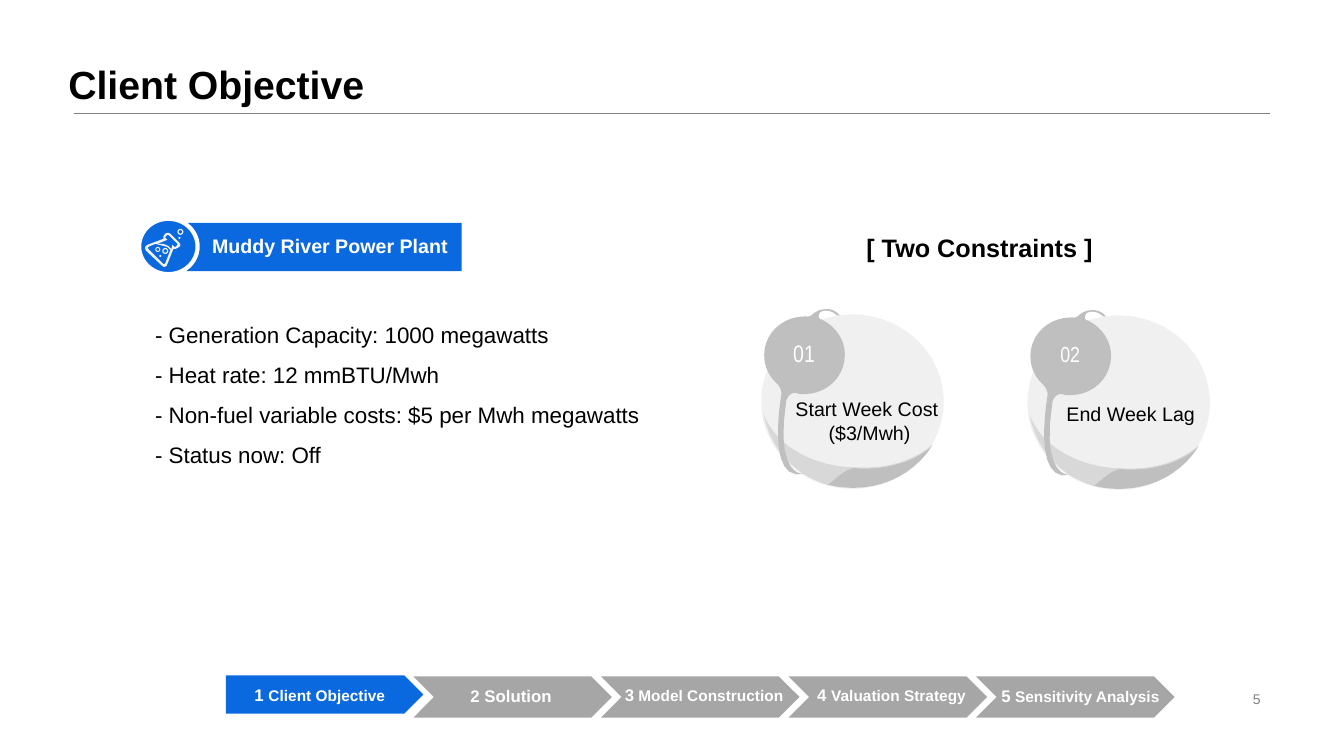
from lxml.etree import SubElement
from pptx import Presentation
from pptx.dml.color import RGBColor
from pptx.enum.shapes import MSO_CONNECTOR, MSO_SHAPE
from pptx.enum.text import MSO_ANCHOR, PP_ALIGN
from pptx.oxml.ns import qn
from pptx.util import Inches, Pt

COLORS = {
    "black": "000000", "white": "FFFFFF", "blue": "0B69DF", "rule": "808080",
    "icon": "F0F0F0", "disc": "F0F0F0", "band": "D8D8D8", "stem": "BFBFBF",
    "step": "A6A6A6",
}
LEFT, CENTER, RIGHT = PP_ALIGN.LEFT, PP_ALIGN.CENTER, PP_ALIGN.RIGHT
TOP, MIDDLE, BOTTOM = MSO_ANCHOR.TOP, MSO_ANCHOR.MIDDLE, MSO_ANCHOR.BOTTOM

deck = Presentation()
deck.slide_width, deck.slide_height = Inches(13.33), Inches(7.5)
page = deck.slides.add_slide(deck.slide_layouts[6])


def add_block(kind, place, fill=None, paragraphs=(), align=LEFT, anchor=BOTTOM,
              spacing=None, font="Arial", bold=False, color="black", inset=0.1):
    """Add a preset shape, or a text box when kind is None.

    Each paragraph is a list of (text, size) runs."""
    position = [Inches(length) for length in place]
    if kind is None:
        box = page.shapes.add_textbox(*position)
    else:
        box = page.shapes.add_shape(kind, *position)
        box.shadow.inherit = False
        box.line.fill.background()
        if fill:
            box.fill.solid()
            box.fill.fore_color.rgb = RGBColor.from_string(COLORS[fill])
        else:
            box.fill.background()
    frame = box.text_frame
    frame.word_wrap = True
    frame.vertical_anchor = anchor
    frame.margin_left = frame.margin_right = Inches(inset)
    frame.margin_top = frame.margin_bottom = Inches(inset / 2)
    for index, runs in enumerate(paragraphs):
        para = frame.add_paragraph() if index else frame.paragraphs[0]
        para.alignment = align
        if spacing:
            para.line_spacing = spacing
        for text, size in runs:
            span = para.add_run()
            span.text = text
            span.font.name, span.font.size, span.font.bold = font, Pt(size), bold
            span.font.color.rgb = RGBColor.from_string(COLORS[color])
    return box


def add_outline(contours, fill, shift=(0, 0)):
    """Fill closed contours; a step of six numbers is a cubic curve, of two a corner."""
    builder = None
    for start, *steps in contours:
        points = [start]
        for step in steps:
            if len(step) == 2:
                points.append(step)
                continue
            knots = [points[-1], step[0:2], step[2:4], step[4:6]]
            for t in [part / 10 for part in range(1, 11)]:
                weights = [(1 - t) ** 3, 3 * t * (1 - t) ** 2, 3 * t * t * (1 - t), t ** 3]
                points.append([sum(w * knot[axis] for w, knot in zip(weights, knots))
                               for axis in (0, 1)])
        points = [(Inches(x + shift[0]), Inches(y + shift[1])) for x, y in points]
        if builder is None:
            builder = page.shapes.build_freeform(*points[0], scale=1.0)
        else:
            builder.move_to(*points[0])
        builder.add_line_segments(points[1:], close=True)
    outline = builder.convert_to_shape()
    outline.shadow.inherit = False
    outline.line.fill.background()
    outline.fill.solid()
    outline.fill.fore_color.rgb = RGBColor.from_string(COLORS[fill])


# Title, rule and page number
rule = page.shapes.add_connector(MSO_CONNECTOR.STRAIGHT, Inches(0.73), Inches(1.12),
                                 Inches(12.6), Inches(1.12))
rule.line.color.rgb = RGBColor.from_string(COLORS["rule"])
rule.line.width = Pt(0.25)
SubElement(rule._element.spPr, qn("a:effectLst"))
add_block(None, (0.58, 0, 11.87, 1.12), paragraphs=[[("Client Objective", 28)]],
          spacing=0.9, bold=True)
add_block(None, (9.42, 6.82, 3.18, 0.23), paragraphs=[[("5", 10)]],
          align=RIGHT, anchor=MIDDLE, color="rule")

# Plant banner with a flask icon
add_block(MSO_SHAPE.RECTANGLE, (1.85, 2.21, 2.73, 0.48), "blue")
badge = add_block(MSO_SHAPE.OVAL, (1.38, 2.17, 0.58, 0.55), "blue")
badge.line.color.rgb = RGBColor.from_string(COLORS["white"])
badge.line.width = Pt(3)
for left, top, size in [(1.61, 2.46, 0.06), (1.76, 2.27, 0.06), (1.54, 2.45, 0.05)]:
    bubble = add_block(MSO_SHAPE.DONUT, (left, top, size, size), "icon")
    bubble.adjustments[0] = 0.2
for left, top in [(1.58, 2.53), (1.77, 2.35)]:
    add_block(MSO_SHAPE.OVAL, (left, top, 0.02, 0.02), "icon")
flask_edge = [
    (1.69, 2.32), (1.67, 2.31), (1.65, 2.31), (1.63, 2.33), (1.62, 2.35), (1.62, 2.37),
    (1.46, 2.43), (1.44, 2.45), (1.44, 2.47), (1.45, 2.49), (1.6, 2.63), (1.61, 2.64),
    (1.63, 2.65), (1.65, 2.64), (1.66, 2.62), (1.72, 2.47), (1.74, 2.47), (1.76, 2.46),
    (1.78, 2.45), (1.79, 2.43), (1.78, 2.41)]
flask_liquid = [
    (1.64, 2.61), (1.63, 2.62), (1.62, 2.62), (1.47, 2.47), (1.47, 2.45), (1.54, 2.42),
    (1.58, 2.43), (1.62, 2.44), (1.66, 2.45), (1.69, 2.48)]
flask_neck = [
    (1.76, 2.43), (1.74, 2.45), (1.73, 2.45), (1.71, 2.43), (1.7, 2.47), (1.67, 2.44),
    (1.62, 2.42), (1.56, 2.42), (1.66, 2.38), (1.64, 2.36), (1.64, 2.35), (1.66, 2.33),
    (1.67, 2.33), (1.76, 2.42)]
add_outline([flask_edge, flask_liquid, flask_neck], "icon")
add_block(MSO_SHAPE.ROUNDED_RECTANGLE, (1.99, 2.31, 2.66, 0.31),
          paragraphs=[[("Muddy River Power Plant", 14)]], bold=True, color="white")

plant_facts = [
    "- Generation Capacity: 1000 megawatts",
    "- Heat rate: 12 mmBTU/Mwh",
    "- Non-fuel variable costs: $5 per Mwh megawatts",
    "- Status now: Off",
]
add_block(None, (1.44, 3, 6.67, 2.47), paragraphs=[[(fact, 16)] for fact in plant_facts],
          anchor=TOP, spacing=1.5)

# Two constraints
shade = [(8.47, 4.84), (8.79, 4.84, 9.08, 4.68, 9.24, 4.43),
         (9.22, 4.44, 8.98, 4.68, 8.47, 4.64), (8.21, 4.62, 8.12, 4.69, 8.09, 4.76),
         (8.2, 4.82, 8.33, 4.84, 8.47, 4.84)]
band = [(9.25, 4.41), (9.06, 4.57, 8.81, 4.65, 8.5, 4.64),
        (8.09, 4.63, 7.86, 4.47, 7.73, 4.35), (7.64, 4.25, 7.59, 4.16, 7.57, 4.1),
        (7.63, 4.44, 7.88, 4.72, 8.21, 4.81), (8.3, 4.74, 8.39, 4.64, 8.5, 4.64),
        (8.52, 4.65, 8.54, 4.65, 8.56, 4.65), (8.84, 4.65, 9.07, 4.57, 9.24, 4.43)]
stem = [(8.15, 3.17), (8.13, 3.17, 8.12, 3.15, 8.12, 3.14),
        (8.12, 3.12, 8.13, 3.1, 8.15, 3.09), (8.24, 3.06, 8.3, 3.13, 8.3, 3.13),
        (8.33, 3.13), (8.28, 3.07, 8.22, 3.06, 8.17, 3.07),
        (8.13, 3.07, 8.1, 3.09, 8.07, 3.11), (8.03, 3.15, 8, 3.14, 8, 3.14),
        (7.98, 3.14), (7.76, 3.14, 7.58, 3.31, 7.58, 3.52),
        (7.58, 3.63, 7.62, 3.72, 7.69, 3.79), (7.76, 3.85, 7.75, 3.91, 7.75, 3.91),
        (7.7, 4.23, 7.66, 4.78, 7.98, 4.7), (7.97, 4.7),
        (7.97, 4.7, 7.68, 4.74, 7.8, 3.97), (7.81, 3.95, 7.83, 3.89, 7.9, 3.9),
        (7.93, 3.91), (7.98, 3.91), (8.2, 3.91, 8.38, 3.74, 8.38, 3.52),
        (8.38, 3.37, 8.29, 3.24, 8.15, 3.17)]
constraints = [
    ((0, 0), "01", 17, (6.95, 3.24), ["Start Week Cost ", "($3/Mwh)"]),
    ((2.64, 0.01), "02", 15.5, (9.54, 3.05), ["End Week Lag"]),
]
for shift, number, number_size, label_corner, label_lines in constraints:
    right, down = shift
    add_block(MSO_SHAPE.OVAL, (7.55 + right, 3.12 + down, 1.81, 1.73), "disc")
    for contour, fill in [(shade, "stem"), (band, "band"), (stem, "stem")]:
        add_outline([contour], fill, shift)
    add_block(MSO_SHAPE.OVAL, (7.67 + right, 3.21 + down, 0.61, 0.58),
              paragraphs=[[(number, number_size)]], align=CENTER, anchor=MIDDLE,
              font="Arial Narrow", color="white", inset=0)
    add_block(MSO_SHAPE.ROUNDED_RECTANGLE, (*label_corner, 3.35, 1.28),
              paragraphs=[[(line, 14)] for line in label_lines], align=CENTER)
add_block(MSO_SHAPE.ROUNDED_RECTANGLE, (8.48, 2.36, 2.66, 0.31),
          paragraphs=[[("[ Two Constraints ]", 18)]], bold=True)

# Progress bar
for index in range(4):
    add_block(MSO_SHAPE.CHEVRON, (4.1 + 1.86 * index, 6.71, 1.97, 0.41), "step")
add_block(MSO_SHAPE.PENTAGON, (2.24, 6.7, 1.96, 0.38), "blue")
steps = [
    (1.69, 6.64, 2.23, [("1 ", 12), ("Client Objective", 11)]),
    (3.34, 6.65, 2.23, [("2 Solution", 12)]),
    (5.64, 6.64, 2.23, [("3", 12), (" Model Construction", 11)]),
    (7.23, 6.64, 2.45, [("4 ", 12), ("Valuation Strategy", 11)]),
    (9.15, 6.65, 2.45, [("5", 12), (" Sensitivity Analysis", 11)]),
]
for left, top, width, runs in steps:
    add_block(None, (left, top, width, 0.4), paragraphs=[runs], align=RIGHT,
              bold=True, color="white")

deck.save("out.pptx")
